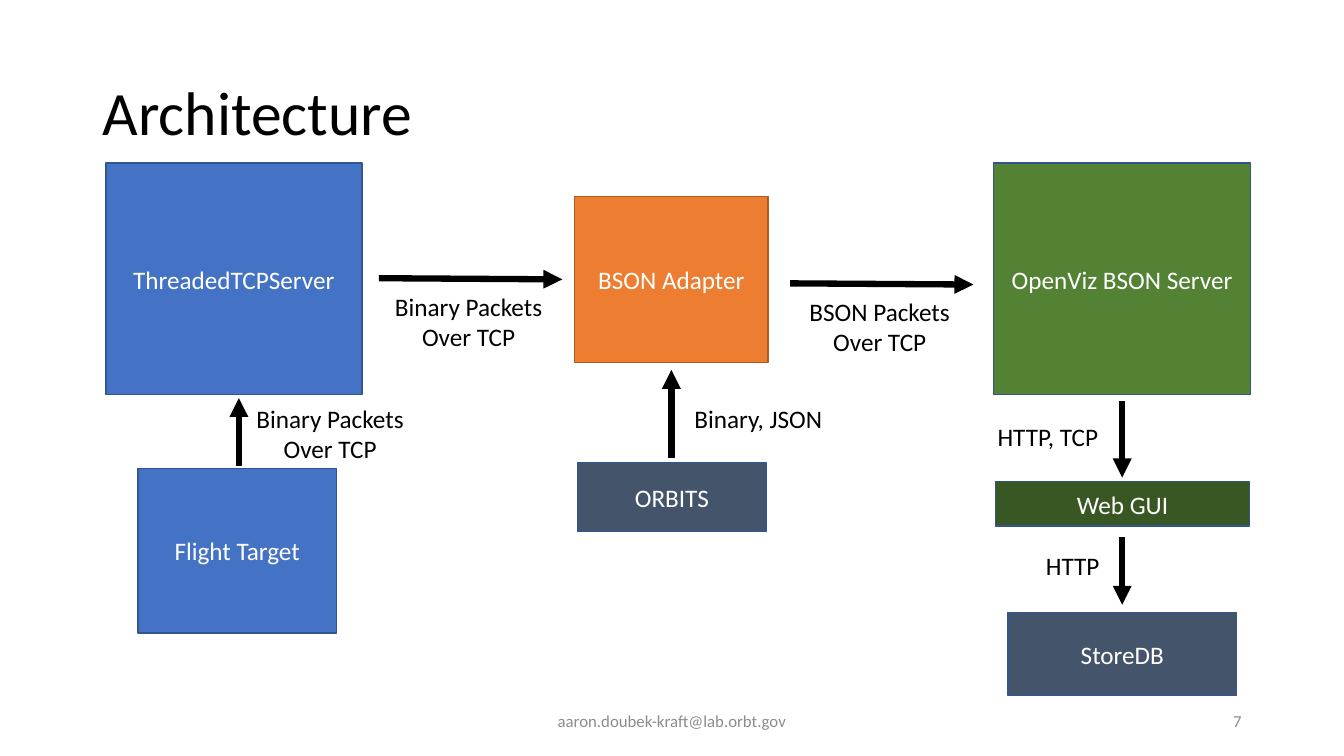
import pptx
import pptx.util
import pptx.dml.color
import pptx.enum.shapes
import pptx.enum.text
import pptx.oxml

Cm, Pt = pptx.util.Cm, pptx.util.Pt
SHAPE = pptx.enum.shapes.MSO_SHAPE
LINK = pptx.enum.shapes.MSO_CONNECTOR
ALIGN = pptx.enum.text.PP_ALIGN
ANCHOR = pptx.enum.text.MSO_ANCHOR
AUTO = pptx.enum.text.MSO_AUTO_SIZE

COLORS = {
    "blue": "4472C4", "edge": "325491", "orange": "ED7D31", "rust": "AF5C24",
    "green": "548235", "forest": "385723", "slate": "44546A",
    "black": "000000", "white": "FFFFFF", "gray": "8C8C8C",
}
FRAME = {"word_wrap": True, "auto_size": AUTO.NONE}
NS = 'xmlns:a="http://schemas.openxmlformats.org/drawingml/2006/main"'


def tint(name):
    return pptx.dml.color.RGBColor.from_string(COLORS[name])


def apply(item, values):
    for key, value in values.items():
        setattr(item, key, value)


def write(shape, text, size=18, color="black", align=ALIGN.CENTER,
          anchor=ANCHOR.MIDDLE, space=1.0):
    frame = shape.text_frame
    frame.text = text
    apply(frame, FRAME | {"vertical_anchor": anchor})
    for para in frame.paragraphs:
        apply(para, {"alignment": align, "line_spacing": space})
        for run in para.runs:
            apply(run.font, {"name": "Calibri", "size": Pt(size)})
            run.font.color.rgb = tint(color)


def place(box, x, y, w, h):
    """Turn a spot inside a region box into slide lengths."""
    return Cm(box[0] + x), Cm(box[1] + y), Cm(w), Cm(h)


def block(slide, box, spot, text, fill, edge="edge"):
    shape = slide.shapes.add_shape(SHAPE.RECTANGLE, *place(box, *spot))
    shape.shadow.inherit = False
    shape.fill.solid()
    shape.fill.fore_color.rgb = tint(fill)
    shape.line.color.rgb = tint(edge)
    shape.line.width = Pt(1)
    write(shape, text, color="white")


def label(slide, box, spot, text, **style):
    shape = slide.shapes.add_textbox(*place(box, *spot))
    write(shape, text, **({"anchor": ANCHOR.TOP} | style))


def arrow(slide, box, start, end):
    ends = place(box, *start, 0, 0)[:2] + place(box, *end, 0, 0)[:2]
    line = slide.shapes.add_connector(LINK.STRAIGHT, *ends)
    line.line.color.rgb = tint("black")
    line.line.width = Pt(4.5)
    stroke = line.line._get_or_add_ln()
    stroke.append(pptx.oxml.parse_xml(f'<a:tailEnd {NS} type="triangle"/>'))
    stroke.addnext(pptx.oxml.parse_xml(f"<a:effectLst {NS}/>"))


# Title, and the footer row below the diagram
def header(slide, box):
    title = slide.shapes.title
    left, top, width, height = place(box, 0, 0, *box[2:])
    apply(title, {"left": left, "top": top, "width": width, "height": height})
    write(title, "Architecture", size=44, align=ALIGN.LEFT, space=0.9)


def footer(slide, box):
    style = {"size": 12, "color": "gray", "anchor": ANCHOR.MIDDLE}
    width, height = box[2:]
    label(slide, box, (0, 0, 11.43, height),
          "aaron.doubek-kraft@lab.orbt.gov", **style)
    label(slide, box, (width - 7.62, 0, 7.62, height), "7",
          align=ALIGN.RIGHT, **style)


# Left column: flight target feeding the socket server
def source(slide, box):
    width, height = box[2:]
    block(slide, box, (0, 0, width, height), "ThreadedTCPServer", "blue")
    block(slide, box, (0.81, 7.7, 5, 4.14), "Flight Target", "blue")
    label(slide, box, (3.48, 5.92, 4.34, 1.8), "Binary Packets Over TCP")
    arrow(slide, box, (3.35, 7.62), (3.35, 5.92))


# Middle column: adapter and ground system
def bridge(slide, box):
    width, height = box[2:]
    block(slide, box, (0, 0, width, height), "BSON Adapter", "orange", "rust")
    block(slide, box, (0.08, 6.71, 4.75, 1.73), "ORBITS", "slate")
    label(slide, box, (2.77, 5.08, 4.6, 1.02), "Binary, JSON", align=ALIGN.LEFT)
    arrow(slide, box, (width / 2, 6.58), (width / 2, 4.37))


# Right column: server, web page and database
def server(slide, box):
    width, height = box[2:]
    mid = width / 2
    block(slide, box, (0, 0, width, height), "OpenViz BSON Server", "green")
    block(slide, box, (0.05, 8.03, 6.4, 1.12), "Web GUI", "forest")
    block(slide, box, (0.36, 11.33, 5.77, 2.08), "StoreDB", "slate")
    label(slide, box, (-0.15, 6.38, 3.2, 1.02), "HTTP, TCP", align=ALIGN.LEFT)
    label(slide, box, (1.07, 9.63, 1.98, 1.02), "HTTP", align=ALIGN.LEFT)
    for top, end in ((5.99, 7.92), (9.42, 11.13)):
        arrow(slide, box, (mid, top), (mid, end))


# Arrow between two columns, with its label underneath
def link(slide, box, text):
    width, height = box[2:]
    arrow(slide, box, (0, 0), (width, 0.03))
    label(slide, box, (0.05, 0.2, width - 0.2, height), text)


deck = pptx.Presentation()
apply(deck, {"slide_width": Cm(33.87), "slide_height": Cm(19.05)})
page = deck.slides.add_slide(deck.slide_layouts[5])

header(page, (2.33, 1.07, 29.21, 3.68))
footer(page, (11.22, 17.65, 20.32, 1.02))
source(page, (2.67, 4.11, 6.45, 5.84))
bridge(page, (14.48, 4.95, 4.88, 4.19))
server(page, (25.04, 4.11, 6.48, 5.84))
link(page, (9.55, 7.01, 4.62, 1.8), "Binary Packets Over TCP")
link(page, (19.91, 7.14, 4.62, 1.8), "BSON Packets\nOver TCP")

deck.save("out.pptx")
